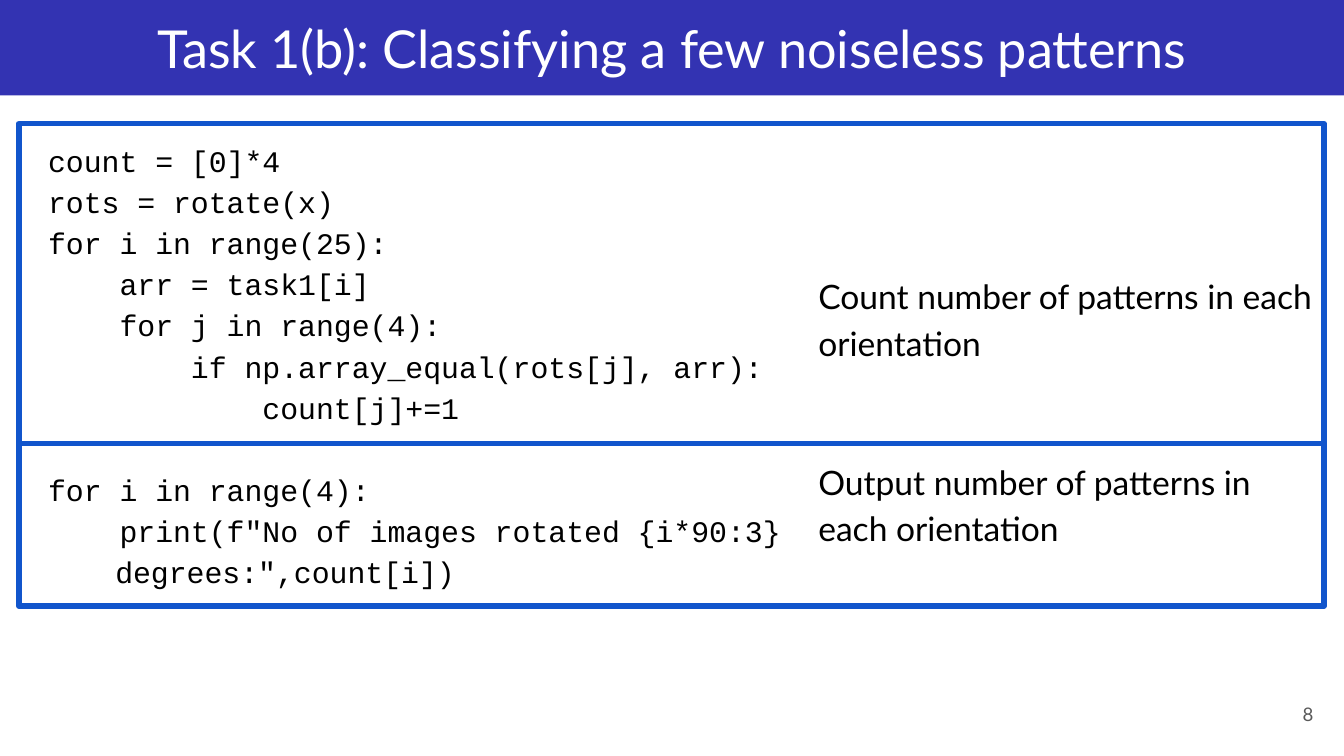
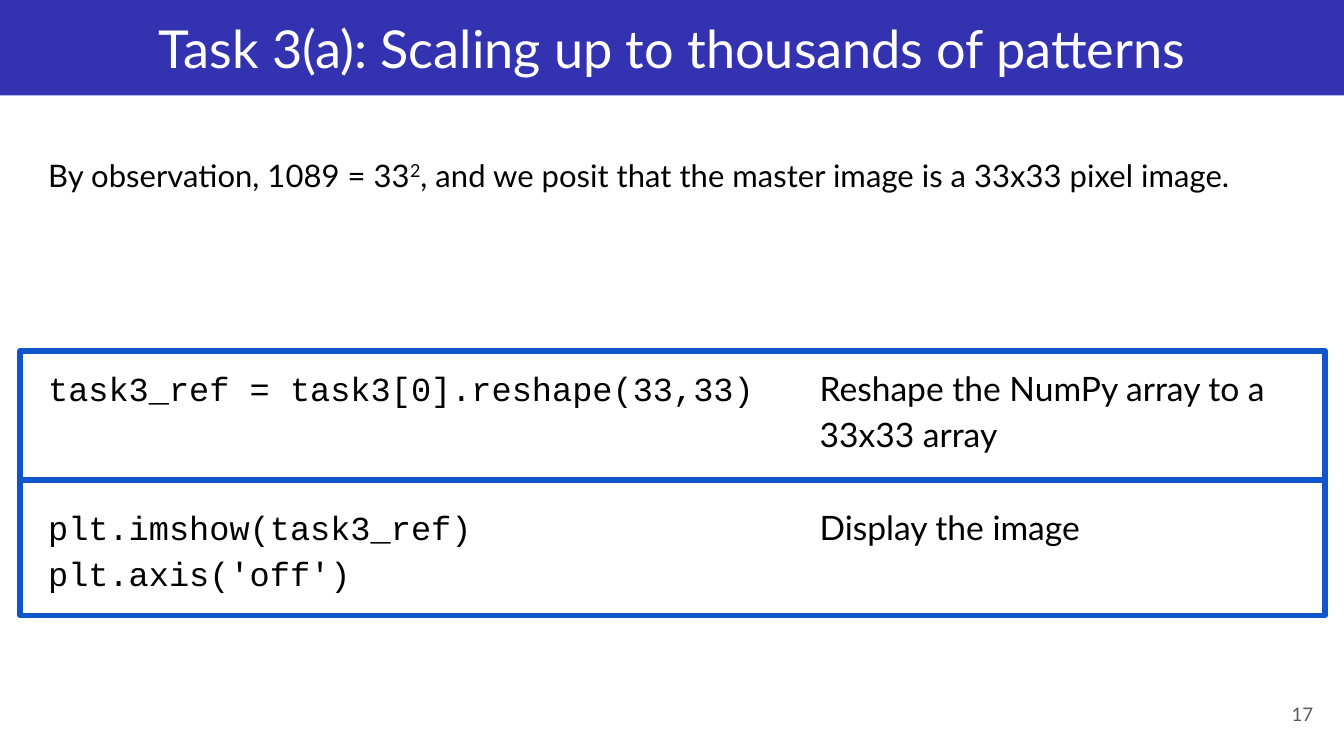
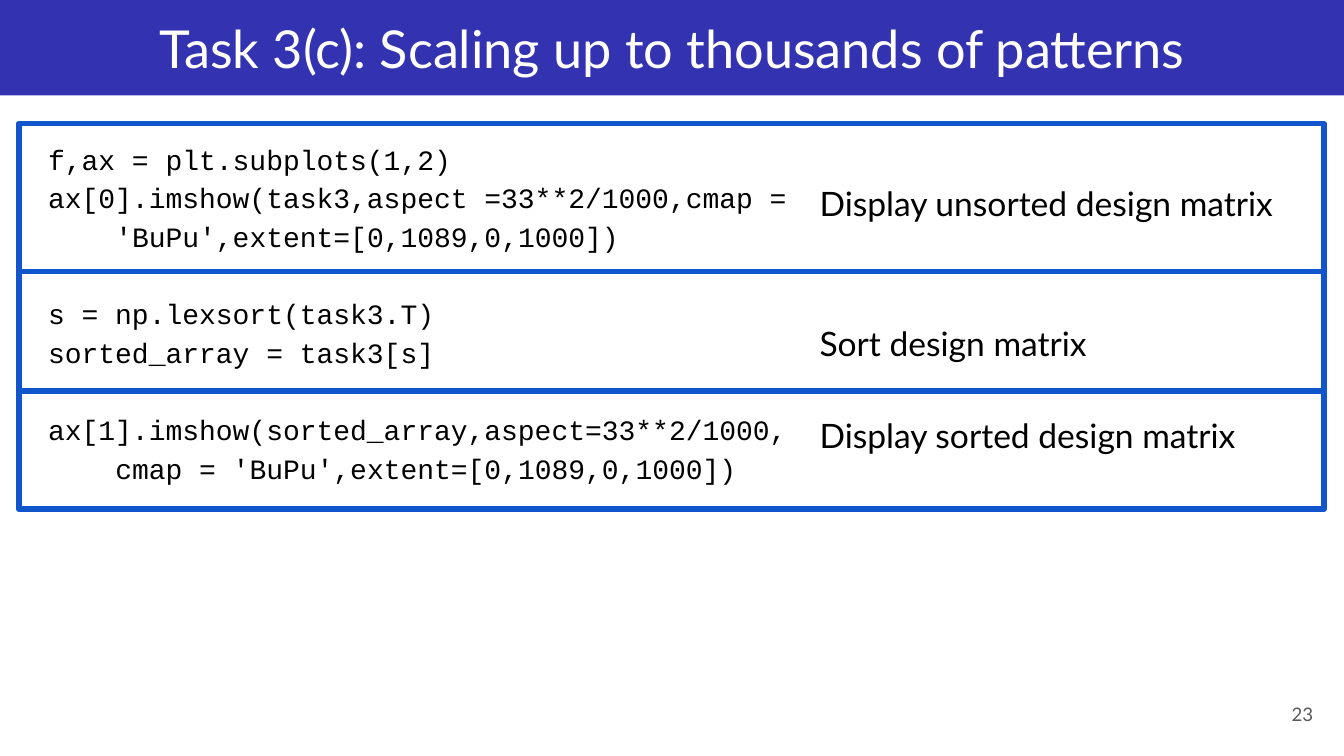
from dataclasses import dataclass

from lxml.etree import SubElement
from pptx import Presentation
from pptx.dml.color import RGBColor
from pptx.enum.shapes import MSO_SHAPE as Shape
from pptx.enum.text import MSO_ANCHOR as Anchor, PP_ALIGN as Align
from pptx.oxml.ns import qn
from pptx.util import Inches, Pt

COLORS = {"band": "3333B2", "frame": "1155CC", "text": "000000",
          "title": "FFFFFF", "number": "595959"}
SANS, MONO = "Lato", "Courier New"
WIDTH = 10
HEIGHT = WIDTH * 9 / 16
BAND_HEIGHT = 0.71
CODE_LEFT, TEXT_RIGHT, TEXT_BOTTOM = 0.26, 9.87, 4.99
PANEL_WIDTH = 9.71
INSET = 0.1
SPACING = 1.15
FONT_HEIGHT = 1.2  # natural line height as a share of the text size
NOTE_SIZE, LEAD_SIZE = 18, 16.65


@dataclass
class Line:
    """A paragraph: skip is the free lines above it, indent is in inches."""
    text: str
    skip: int = 0
    indent: float = 0


SLIDES = [
    {
        "title": "Task 1(b): Classifying a few noiseless patterns",
        "number": "8",
        "text_top": 0.92,
        "note_left": 5.99,
        "panel_corner": (0.14, 0.92),
        "panels": [2.38, 1.21],
        "code_size": 16,
        "code": [
            Line("count = [0]*4"),
            Line("rots = rotate(x)"),
            Line("for i in range(25):"),
            Line("    arr = task1[i]"),
            Line("    for j in range(4):"),
            Line("        if np.array_equal(rots[j], arr):"),
            Line("            count[j]+=1"),
            Line("for i in range(4):", skip=1),
            Line('    print(f"No of images rotated {i*90:3}'),
            Line('degrees:",count[i])', indent=0.5),
        ],
        "notes": [
            Line("Count number of patterns in each orientation", skip=3),
            Line("Output number of patterns in each orientation", skip=2),
        ],
    },
    {
        "title": "Task 3(a): Scaling up to thousands of patterns",
        "number": "17",
        "text_top": 2.59,
        "note_left": 6,
        "panel_corner": (0.15, 2.61),
        "panels": [0.96, 1.01],
        "code_size": 18,
        "code": [
            Line("task3_ref = task3[0].reshape(33,33)"),
            Line("plt.imshow(task3_ref)", skip=2),
            Line("plt.axis('off')"),
        ],
        "notes": [
            Line("Reshape the NumPy array to a 33x33 array"),
            Line("Display the image", skip=1),
        ],
        "lead": [("By observation, 1089 = 33", False), ("2", True),
                 (", and we posit that the master image is a 33x33 pixel image.", False)],
    },
    {
        "title": "Task 3(c): Scaling up to thousands of patterns",
        "number": "23",
        "text_top": 0.92,
        "note_left": 6,
        "panel_corner": (0.14, 0.92),
        "panels": [1.1, 0.89, 0.88],
        "code_size": 15,
        "code": [
            Line("f,ax = plt.subplots(1,2)"),
            Line("ax[0].imshow(task3,aspect =33**2/1000,cmap ="),
            Line("'BuPu',extent=[0,1089,0,1000])", indent=0.5),
            Line("s = np.lexsort(task3.T)", skip=1),
            Line("sorted_array = task3[s]"),
            Line("ax[1].imshow(sorted_array,aspect=33**2/1000,", skip=1),
            Line("cmap = 'BuPu',extent=[0,1089,0,1000])", indent=0.5),
        ],
        "notes": [
            Line("Display unsorted design matrix", skip=1),
            Line("Sort design matrix", skip=2),
            Line("Display sorted design matrix", skip=1),
        ],
    },
]


def color(name):
    return RGBColor.from_string(COLORS[name])


def prepare(box, anchor=Anchor.TOP):
    """Set wrapping, insets and anchor; return the text frame."""
    frame = box.text_frame
    frame.word_wrap = True
    frame.vertical_anchor = anchor
    frame.margin_left = frame.margin_right = Inches(INSET)
    frame.margin_top = frame.margin_bottom = Inches(INSET)
    return frame


def add_box(page, left, top, width, height, anchor=Anchor.TOP):
    box = page.shapes.add_textbox(*map(Inches, (left, top, width, height)))
    return prepare(box, anchor)


def add_rectangle(page, left, top, width, height):
    shape = page.shapes.add_shape(
        Shape.RECTANGLE, *map(Inches, (left, top, width, height)))
    shape.shadow.inherit = False
    return shape


def add_span(para, text, size, font=SANS, tint="text"):
    span = para.add_run()
    span.text = text
    span.font.size = Pt(size)
    span.font.name = font
    span.font.color.rgb = color(tint)
    return span


def add_title(page, text):
    band = add_rectangle(page, 0, 0, WIDTH, BAND_HEIGHT)
    band.fill.solid()
    band.fill.fore_color.rgb = color("band")
    band.line.fill.background()
    para = prepare(band, Anchor.MIDDLE).paragraphs[0]
    para.alignment = Align.CENTER
    add_span(para, text, 28, tint="title")


def add_number(page, text):
    para = add_box(page, 9.27, 5.1, 0.6, 0.43, Anchor.MIDDLE).paragraphs[0]
    para.alignment = Align.RIGHT
    add_span(para, text, 10, tint="number")


def add_column(page, left, right, top, lines, size, font):
    """Write lines on a shared pitch; free lines on top become inset."""
    frame = add_box(page, left, top, right - left, TEXT_BOTTOM - top)
    pitch = size * FONT_HEIGHT * SPACING
    for index, line in enumerate(lines):
        para = frame.add_paragraph() if index else frame.paragraphs[0]
        para.line_spacing = SPACING
        if line.indent:
            para._p.get_or_add_pPr().set("marL", str(Inches(line.indent)))
        if index:
            para.space_before = Pt(line.skip * pitch)
        elif line.skip:
            # The first line of a box is set without the extra spacing.
            extra = size * FONT_HEIGHT * (SPACING - 1)
            frame.margin_top = Inches(INSET) + Pt(line.skip * pitch - extra)
        add_span(para, line.text, size, font)


def add_lead(page, spans):
    frame = add_box(page, CODE_LEFT, 1.02, TEXT_RIGHT - CODE_LEFT, 0.59)
    para = frame.paragraphs[0]
    para.line_spacing = SPACING
    for text, raised in spans:
        span = add_span(para, text, LEAD_SIZE)
        if raised:
            span.font._element.set("baseline", "30000")


def add_panels(page, left, top, heights):
    for height in heights:
        panel = add_rectangle(page, left, top, PANEL_WIDTH, height)
        panel.fill.background()
        panel.line.color.rgb = color("frame")
        panel.line.width = Pt(3)
        SubElement(panel.line._get_or_add_ln(), qn("a:round"))
        top += height


def main():
    deck = Presentation()
    deck.slide_width, deck.slide_height = Inches(WIDTH), Inches(HEIGHT)
    for content in SLIDES:
        page = deck.slides.add_slide(deck.slide_layouts[6])
        top, note_left = content["text_top"], content["note_left"]
        add_title(page, content["title"])
        add_column(page, CODE_LEFT, note_left, top,
                   content["code"], content["code_size"], MONO)
        add_number(page, content["number"])
        add_column(page, note_left, TEXT_RIGHT, top,
                   content["notes"], NOTE_SIZE, SANS)
        if "lead" in content:
            add_lead(page, content["lead"])
        add_panels(page, *content["panel_corner"], content["panels"])
    deck.save("out.pptx")


if __name__ == "__main__":
    main()
